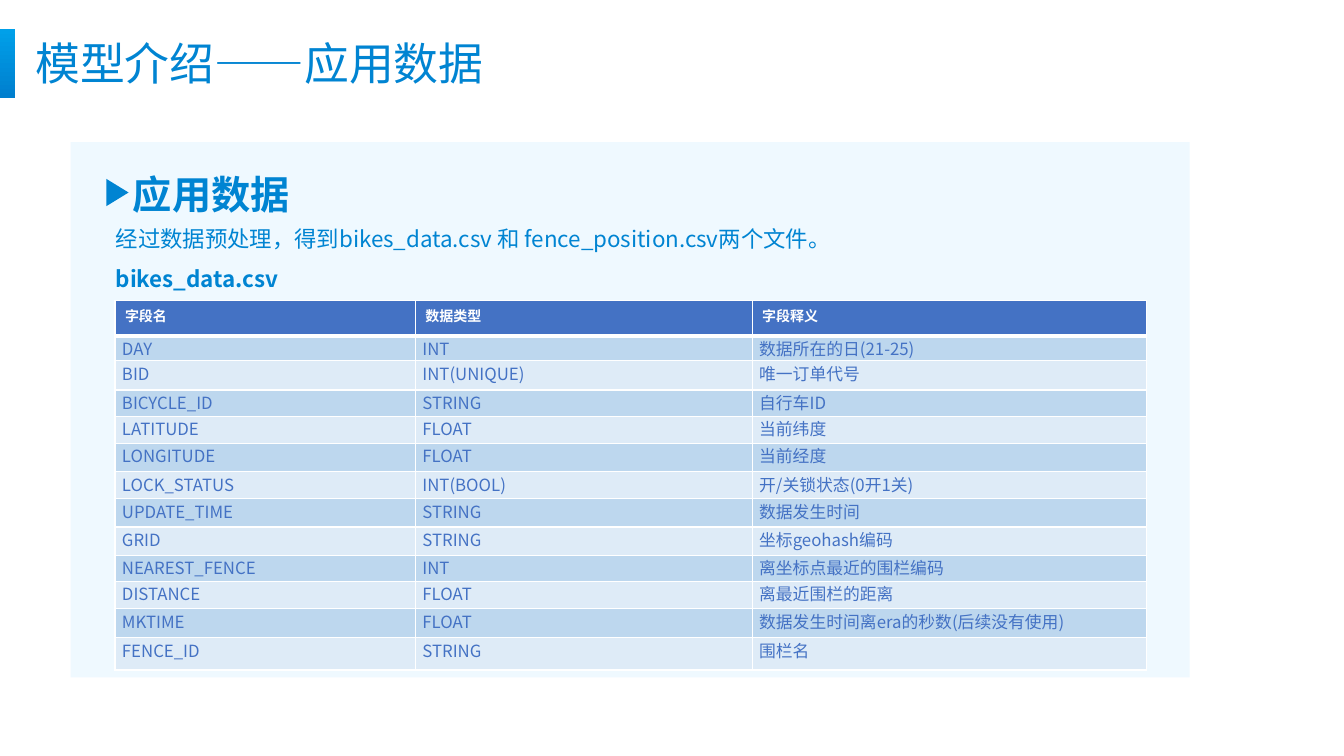
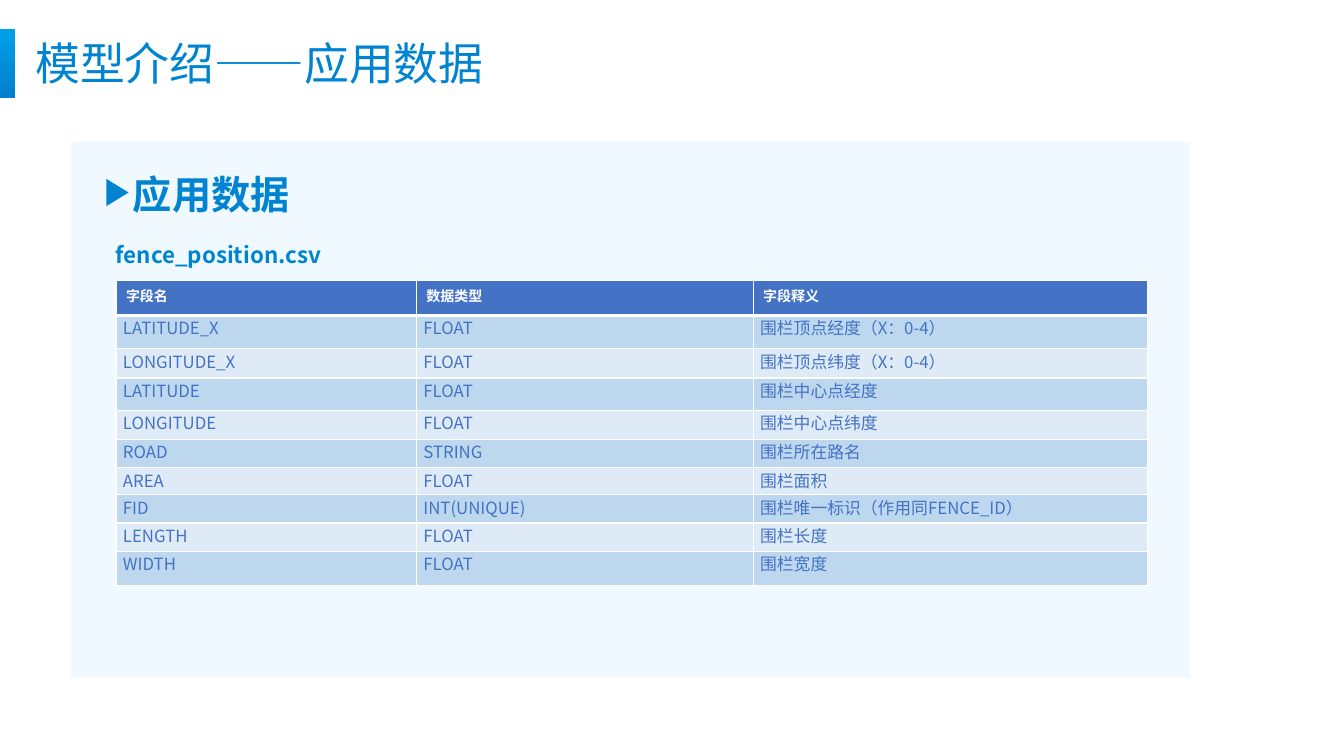
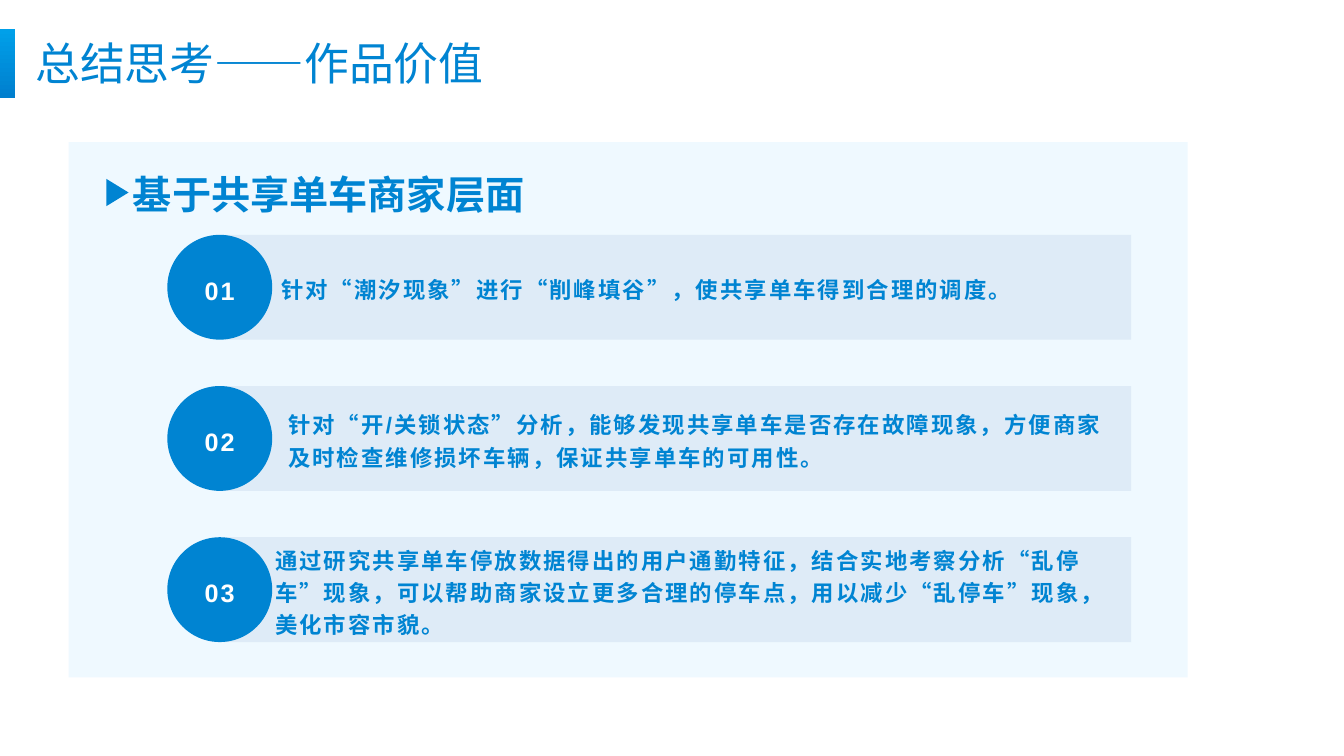
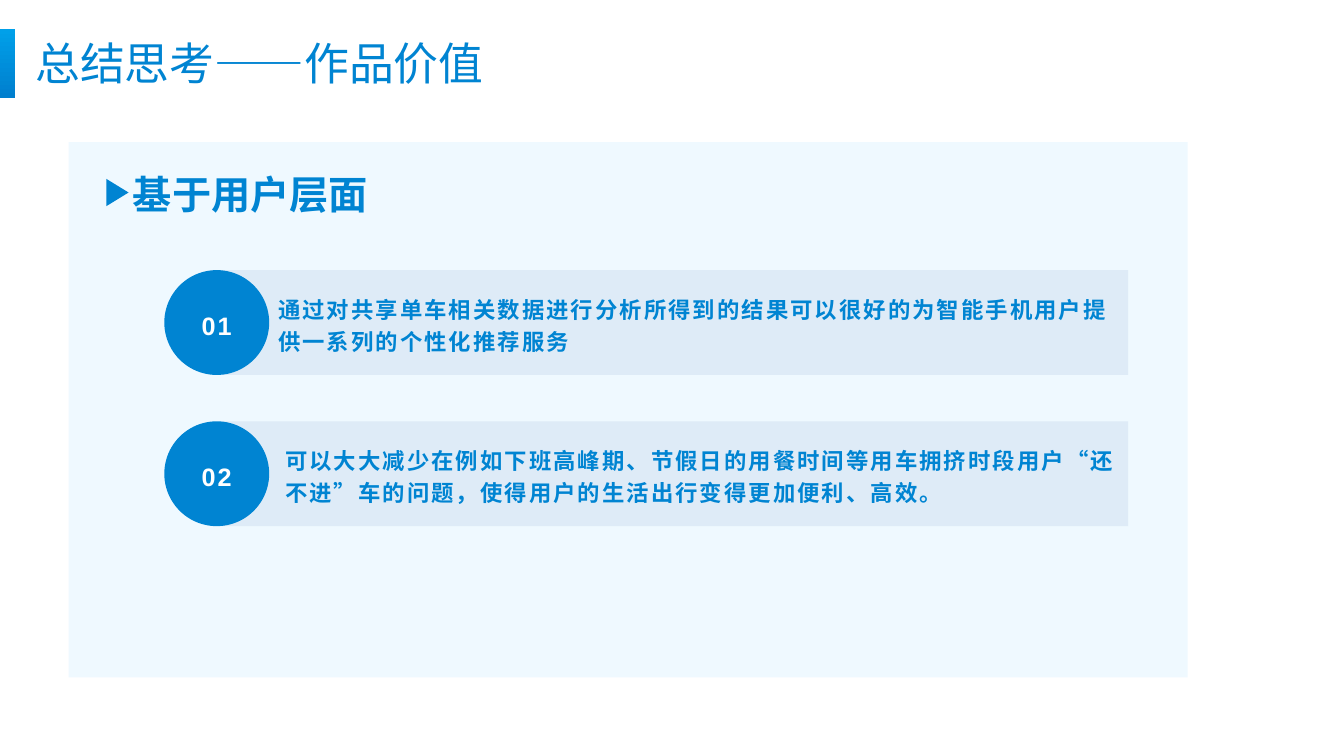
from lxml.etree import SubElement
from pptx import Presentation
from pptx.dml.color import RGBColor
from pptx.enum.shapes import MSO_SHAPE as Shape
from pptx.enum.text import MSO_ANCHOR as Anchor, MSO_AUTO_SIZE as AutoSize, PP_ALIGN as Align
from pptx.oxml.ns import qn
from pptx.util import Inches, Pt

BLUE = RGBColor(0x00, 0x84, 0xD2)
BAND_TOP = RGBColor(0x00, 0xA0, 0xE9)
BAND_BOTTOM = RGBColor(0x00, 0x7F, 0xCE)
PANEL = RGBColor(0xEF, 0xF9, 0xFF)
TABLE_BLUE = RGBColor(0x44, 0x72, 0xC4)
ROW_DARK = RGBColor(0xBD, 0xD7, 0xEE)
PALE = RGBColor(0xDE, 0xEB, 0xF7)
WHITE = RGBColor(0xFF, 0xFF, 0xFF)

HAN = "Noto Sans CJK SC"
LATIN = "Arial"

COLUMNS = (2.98, 3.34, 3.91)
HEADER = ("字段名", "数据类型", "字段释义")

# Summary bars: size, row distance and text insets
BAR_WIDTH, BAR_HEIGHT, BAR_PITCH = 9, 1.04, 1.5
CIRCLE_LEAD = 0.56
NOTE_INSETS = (0.47, 0.54, 0.41)

# Each field: row height, name, type, meaning
BIKE_FIELDS = [
    (0.25, "DAY", "INT", "数据所在的日(21-25)"),
    (0.29, "BID", "INT(UNIQUE)", "唯一订单代号"),
    (0.26, "BICYCLE_ID", "STRING", "自行车ID"),
    (0.27, "LATITUDE", "FLOAT", "当前纬度"),
    (0.28, "LONGITUDE", "FLOAT", "当前经度"),
    (0.27, "LOCK_STATUS", "INT(BOOL)", "开/关锁状态(0开1关)"),
    (0.28, "UPDATE_TIME", "STRING", "数据发生时间"),
    (0.28, "GRID", "STRING", "坐标geohash编码"),
    (0.26, "NEAREST_FENCE", "INT", "离坐标点最近的围栏编码"),
    (0.27, "DISTANCE", "FLOAT", "离最近围栏的距离"),
    (0.29, "MKTIME", "FLOAT", "数据发生时间离era的秒数(后续没有使用)"),
    (0.32, "FENCE_ID", "STRING", "围栏名"),
]
FENCE_FIELDS = [
    (0.33, "LATITUDE_X", "FLOAT", "围栏顶点经度（X：0-4）"),
    (0.29, "LONGITUDE_X", "FLOAT", "围栏顶点纬度（X：0-4）"),
    (0.32, "LATITUDE", "FLOAT", "围栏中心点经度"),
    (0.29, "LONGITUDE", "FLOAT", "围栏中心点纬度"),
    (0.28, "ROAD", "STRING", "围栏所在路名"),
    (0.27, "AREA", "FLOAT", "围栏面积"),
    (0.28, "FID", "INT(UNIQUE)", "围栏唯一标识（作用同FENCE_ID）"),
    (0.28, "LENGTH", "FLOAT", "围栏长度"),
    (0.34, "WIDTH", "FLOAT", "围栏宽度"),
]
BUSINESS_NOTES = [
    "针对“潮汐现象”进行“削峰填谷”，使共享单车得到合理的调度。",
    "针对“开/关锁状态”分析，能够发现共享单车是否存在故障现象，方便商家及时检查维修损坏车辆，保证共享单车的可用性。",
    "通过研究共享单车停放数据得出的用户通勤特征，结合实地考察分析“乱停车”现象，可以帮助商家设立更多合理的停车点，"
    "用以减少“乱停车”现象，美化市容市貌。",
]
USER_NOTES = [
    "通过对共享单车相关数据进行分析所得到的结果可以很好的为智能手机用户提供一系列的个性化推荐服务",
    "可以大大减少在例如下班高峰期、节假日的用餐时间等用车拥挤时段用户“还不进”车的问题，使得用户的生活出行变得更加便利、高效。",
]


def inches(*lengths):
    return [Inches(length) for length in lengths]


def style(para, size, color, bold=False, face=HAN, spacing=None, tracking=None):
    """Format a whole paragraph, for Latin and Chinese letters alike."""
    if spacing:
        para.line_spacing = spacing
    font = para.font
    font.size, font.bold, font.name = Pt(size), bold, face
    font.color.rgb = color
    defaults = para._p.pPr.find(qn("a:defRPr"))
    SubElement(defaults, qn("a:ea"), typeface=HAN)
    if tracking:
        defaults.set("spc", str(int(tracking * 100)))


def add_block(slide, kind, place, color):
    shape = slide.shapes.add_shape(kind, *inches(*place))
    shape.shadow.inherit = False
    shape.fill.solid()
    shape.fill.fore_color.rgb = color
    shape.line.fill.background()
    return shape


def add_text(slide, place, lines, size, anchor=Anchor.TOP, **look):
    """Add a text box; lines are (text, bold) pairs."""
    frame = slide.shapes.add_textbox(*inches(*place)).text_frame
    frame.word_wrap = True
    frame.vertical_anchor = anchor
    for index, (text, bold) in enumerate(lines):
        para = frame.add_paragraph() if index else frame.paragraphs[0]
        para.text = text
        style(para, size, BLUE, bold, **look)


def add_page(deck, title, heading, panel_left):
    """Add a slide with title, side band, panel and marked heading."""
    slide = deck.slides.add_slide(deck.slide_layouts[5])
    box = slide.shapes.title
    box.left, box.top, box.width, box.height = inches(0.25, 0.3, 10.21, 0.64)
    frame = box.text_frame
    frame.text = title
    frame.vertical_anchor = Anchor.TOP
    frame.auto_size = AutoSize.NONE
    frame.paragraphs[0].alignment = Align.LEFT
    style(frame.paragraphs[0], 32, BLUE)

    band = add_block(slide, Shape.RECTANGLE, (0, 0.29, 0.15, 0.68), BAND_TOP)
    band.fill.gradient()
    band.fill.gradient_angle = 270
    for stop, color in zip(band.fill.gradient_stops, (BAND_TOP, BAND_BOTTOM)):
        stop.color.rgb = color

    panel = add_block(slide, Shape.ROUND_1_RECTANGLE, (panel_left, 1.41, 11.1, 5.31), PANEL)
    panel.adjustments[0] = 0
    add_text(slide, (1.22, 1.41, 10.42, 0.81), [(heading, True)], 28, spacing=1.5)
    marker = add_block(slide, Shape.ISOSCELES_TRIANGLE, (1.03, 1.8, 0.27, 0.22), BLUE)
    marker.rotation = 90
    return slide


def set_borders(cell, top=1, bottom=1):
    props = cell._tc.get_or_add_tcPr()
    for side, width in (("L", 1), ("R", 1), ("T", top), ("B", bottom)):
        line = SubElement(props, qn(f"a:ln{side}"), w=str(Pt(width)))
        fill = SubElement(line, qn("a:solidFill"))
        SubElement(fill, qn("a:srgbClr"), val=str(WHITE))


def add_field_table(slide, left, top, fields):
    rows = [(0.35, *HEADER), *fields]
    height = sum(row[0] for row in rows)
    place = inches(left, top, sum(COLUMNS), height)
    table = slide.shapes.add_table(len(rows), len(COLUMNS), *place).table
    for column, width in zip(table.columns, COLUMNS):
        column.width = Inches(width)
    for index, (row_height, *texts) in enumerate(rows):
        table.rows[index].height = Inches(row_height)
        for cell, text in zip(table.rows[index].cells, texts):
            cell.text = text
            para = cell.text_frame.paragraphs[0]
            if index == 0:
                style(para, 10, WHITE, bold=True)
                set_borders(cell, bottom=3)
                color = TABLE_BLUE
            else:
                style(para, 12, TABLE_BLUE)
                cell.margin_left = cell.margin_right = Inches(0.07)
                cell.margin_top = cell.margin_bottom = 0
                set_borders(cell, top=3 if index == 1 else 1)
                color = ROW_DARK if index % 2 else PALE
            cell.fill.solid()
            cell.fill.fore_color.rgb = color


def add_notes_list(slide, left, top, notes):
    """Stack numbered bars, one for each note."""
    for index, (note, inset) in enumerate(zip(notes, NOTE_INSETS)):
        bar_top = top + index * BAR_PITCH
        add_block(slide, Shape.RECTANGLE, (left, bar_top, BAR_WIDTH, BAR_HEIGHT), PALE)
        circle = add_block(slide, Shape.OVAL,
                           (left - CIRCLE_LEAD, bar_top, BAR_HEIGHT, BAR_HEIGHT), BLUE)
        para = circle.text_frame.paragraphs[0]
        para.text = f"{index + 1:02d}"
        para.alignment = Align.CENTER
        style(para, 18, WHITE, True, LATIN, 1.2, 1.5)
        add_text(slide, (left + inset, bar_top, BAR_WIDTH - inset, BAR_HEIGHT), [(note, True)],
                 16, Anchor.MIDDLE, face=LATIN, spacing=1.2, tracking=1.5)


def main():
    deck = Presentation()
    deck.slide_width, deck.slide_height = inches(13.33, 7.5)

    # Data files
    data_title, data_heading = "模型介绍——应用数据", "应用数据"
    page = add_page(deck, data_title, data_heading, 0.7)
    intro = "经过数据预处理，得到bikes_data.csv 和 fence_position.csv两个文件。"
    add_text(page, (1.05, 2.05, 10.15, 0.91), [(intro, False), ("bikes_data.csv", True)],
             16, spacing=1.5)
    add_field_table(page, 1.14, 2.98, BIKE_FIELDS)

    page = add_page(deck, data_title, data_heading, 0.7)
    add_text(page, (1.05, 2.21, 10.15, 0.5), [("fence_position.csv", True)], 16, spacing=1.5)
    add_field_table(page, 1.15, 2.78, FENCE_FIELDS)

    # Value of the work
    value_title = "总结思考——作品价值"
    page = add_page(deck, value_title, "基于共享单车商家层面", 0.68)
    add_notes_list(page, 2.22, 2.33, BUSINESS_NOTES)

    page = add_page(deck, value_title, "基于用户层面", 0.68)
    add_notes_list(page, 2.19, 2.68, USER_NOTES)

    deck.save("out.pptx")


if __name__ == "__main__":
    main()
